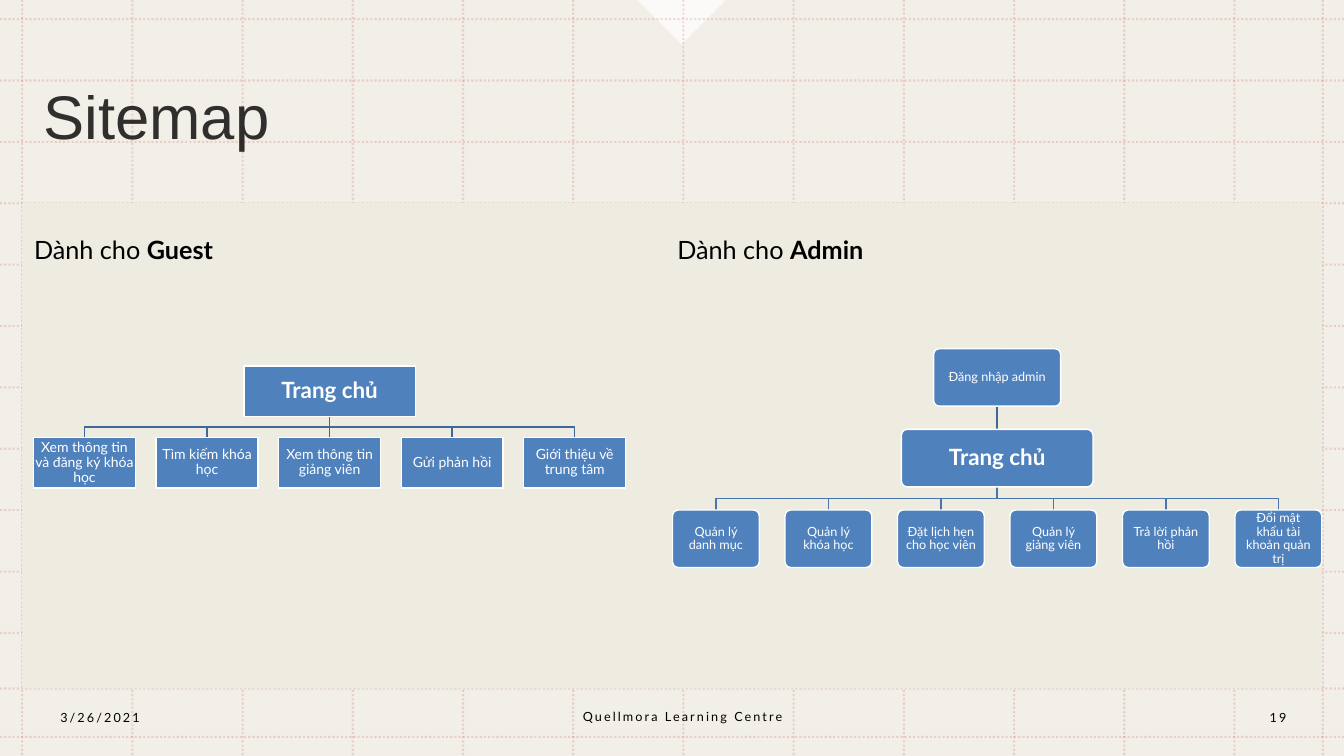
from dataclasses import dataclass
from typing import Any

import lxml.etree
import pptx
import pptx.dml.color
import pptx.enum.dml
import pptx.enum.shapes
import pptx.enum.text
import pptx.oxml.ns
import pptx.util

COLOURS = {
    "sand": "EEECE1", "white": "FFFFFF", "black": "000000", "grid": "C0504D",
    "box": "4F81BD", "guest link": "3F6797", "admin link": "4875AC",
}
SHAPE = pptx.enum.shapes.MSO_SHAPE
ALIGN = pptx.enum.text.PP_ALIGN
ANCHOR = pptx.enum.text.MSO_ANCHOR
qn = pptx.oxml.ns.qn

deck = pptx.Presentation()
deck.slide_width = pptx.util.Inches(13.33)
deck.slide_height = pptx.util.Inches(7.5)
slide = deck.slides.add_slide(deck.slide_layouts[5])


@dataclass
class Area:
    """A rectangle in percent of the slide's width and height."""
    left: float
    top: float
    width: float
    height: float

    @property
    def centre(self) -> float:
        return self.left + self.width / 2

    @property
    def bottom(self) -> float:
        return self.top + self.height

    def emu(self) -> tuple[int, int, int, int]:
        return x(self.left), y(self.top), x(self.width), y(self.height)


@dataclass
class Caption:
    area: Area
    runs: list[tuple[str, bool]]
    size: float
    align: Any = ALIGN.LEFT
    anchor: Any = ANCHOR.MIDDLE
    spacing: int = 0


@dataclass
class Tree:
    kind: Any
    link: str
    inset: float
    size: float
    home: Area
    pages: list[str]
    pages_top: float
    page_width: float
    pitch: float


def x(share: float) -> int:
    return round(deck.slide_width * share / 100)


def y(share: float) -> int:
    return round(deck.slide_height * share / 100)


def rgb(name: str) -> pptx.dml.color.RGBColor:
    return pptx.dml.color.RGBColor.from_string(COLOURS[name])


def apply(target: Any, formats: dict[str, Any]) -> None:
    for name, value in formats.items():
        setattr(target, name, value)


def set_opacity(element: Any, percent: int) -> None:
    colour = element.find(".//" + qn("a:srgbClr"))
    lxml.etree.SubElement(colour, qn("a:alpha"), val=str(percent * 1000))


def draw_line(start: tuple[float, float], end: tuple[float, float], colour: str, width: float) -> Any:
    line = slide.shapes.add_connector(
        pptx.enum.shapes.MSO_CONNECTOR.STRAIGHT, x(start[0]), y(start[1]), x(end[0]), y(end[1]))
    line.line.color.rgb = rgb(colour)
    line.line.width = pptx.util.Pt(width)
    lxml.etree.SubElement(line.element.spPr, qn("a:effectLst"))
    return line


def draw_grid_line(start: tuple[float, float], end: tuple[float, float]) -> None:
    line = draw_line(start, end, "grid", 1.5)
    line.line.dash_style = pptx.enum.dml.MSO_LINE.ROUND_DOT
    set_opacity(line.element, 20)


def draw_shape(kind: Any, area: Area, colour: str) -> Any:
    shape = slide.shapes.add_shape(kind, *area.emu())
    shape.shadow.inherit = False
    shape.fill.solid()
    shape.fill.fore_color.rgb = rgb(colour)
    shape.line.fill.background()
    return shape


def write(frame: Any, runs: list[tuple[str, bool]], size: float, colour: str, align: Any,
          anchor: Any, spacing: int = 0, font: str = "Lato") -> None:
    apply(frame, {"word_wrap": True, "vertical_anchor": anchor})
    paragraph = frame.paragraphs[0]
    paragraph.alignment = align
    for text, bold in runs:
        run = paragraph.add_run()
        run.text = text
        apply(run.font, {"name": font, "size": pptx.util.Pt(size), "bold": bold})
        run.font.color.rgb = rgb(colour)
        if spacing:
            run._r.get_or_add_rPr().set("spc", str(spacing))


def draw_box(tree: Tree, area: Area, label: str, size: float, bold: bool = False) -> None:
    box = draw_shape(tree.kind, area, "box")
    box.line.color.rgb = rgb("white")
    box.line.width = pptx.util.Pt(1)
    if tree.kind == SHAPE.ROUNDED_RECTANGLE:
        box.adjustments[0] = 0.1
    sides = ("margin_left", "margin_right", "margin_top", "margin_bottom")
    apply(box.text_frame, dict.fromkeys(sides, x(tree.inset)))
    write(box.text_frame, [(label, bold)], size, "white", ALIGN.CENTER, ANCHOR.MIDDLE)
    box.text_frame.paragraphs[0].line_spacing = 0.9


def draw_link(parent: Area, child: Area, colour: str) -> None:
    start, end = (parent.centre, parent.bottom), (child.centre, child.top)
    if abs(start[0] - end[0]) < 0.01:
        draw_line(start, end, colour, 1)
        return
    middle = (start[1] + end[1]) / 2
    builder = slide.shapes.build_freeform(x(start[0]), y(start[1]))
    corners = [(start[0], middle), (end[0], middle), end]
    builder.add_line_segments([(x(a), y(b)) for a, b in corners], close=False)
    elbow = builder.convert_to_shape()
    elbow.shadow.inherit = False
    elbow.fill.background()
    elbow.line.color.rgb = rgb(colour)
    elbow.line.width = pptx.util.Pt(1)


def draw_tree(tree: Tree) -> None:
    first = tree.home.centre - tree.pitch * (len(tree.pages) - 1) / 2 - tree.page_width / 2
    areas = [Area(first + i * tree.pitch, tree.pages_top, tree.page_width, tree.home.height)
             for i in range(len(tree.pages))]
    for area in areas:
        draw_link(tree.home, area, tree.link)
    draw_box(tree, tree.home, "Trang chủ", 16, bold=True)
    for area, label in zip(areas, tree.pages):
        draw_box(tree, area, label, tree.size)


# Backdrop: wash, corner marker, dotted grid, content panel
set_opacity(draw_shape(SHAPE.RECTANGLE, Area(0, 0, 100, 100), "sand").element, 80)
marker = draw_shape(SHAPE.RIGHT_TRIANGLE, Area(48.39, -4.13, 4.65, 8.27), "white")
marker.rotation = 315
set_opacity(marker.element, 75)
for column in [1.65 + 8.2 * i for i in range(12)] + [98.42]:
    draw_grid_line((column, 0), (column, 100))
for row in [2.53 + 8.12 * i for i in range(11)] + [91.07, 97.47]:
    draw_grid_line((0, row), (100, row))
draw_shape(SHAPE.RECTANGLE, Area(1.65, 26.8, 96.7, 64.27), "sand")

# Title, brought in front of the backdrop
sitemap = slide.shapes.title
sitemap.element.getparent().append(sitemap.element)
apply(sitemap, dict(zip(("left", "top", "width", "height"), Area(2.48, 4.93, 94.37, 21.87).emu())))
write(sitemap.text_frame, [("Sitemap", False)], 44, "black", ALIGN.LEFT, ANCHOR.MIDDLE, font="Arial")
sitemap.text_frame.paragraphs[0].line_spacing = 0.9
set_opacity(sitemap.element, 80)

# Site trees
guest = Tree(
    SHAPE.RECTANGLE, "guest link", 0.07, 10, Area(18.15, 48.4, 12.75, 6.67),
    ["Xem thông tin và đăng ký khóa học", "Tìm kiếm khóa học", "Xem thông tin giảng viên",
     "Gửi phản hồi", "Giới thiệu về trung tâm"], 57.87, 7.58, 9.12)
admin = Tree(
    SHAPE.ROUNDED_RECTANGLE, "admin link", 0.4, 9, Area(67.07, 56.8, 14.25, 7.6),
    ["Quản lý danh mục", "Quản lý khóa học", "Đặt lịch hẹn cho học viên",
     "Quản lý giảng viên", "Trả lời phản hồi", "Đổi mật khẩu tài khoản quản trị"], 67.47, 6.45, 8.37)
login = Area(69.47, 46.13, 9.45, 7.6)
draw_tree(guest)
draw_link(login, admin.home, "guest link")
draw_box(admin, login, "Đăng nhập admin", admin.size)
draw_tree(admin)

# Section headings and footer
for caption in [
    Caption(Area(1.8, 30.4, 44.34, 5.33), [("Dành cho ", False), ("Guest", True)], 18, anchor=ANCHOR.TOP),
    Caption(Area(49.66, 30.4, 44.34, 5.33), [("Dành cho ", False), ("Admin", True)], 18, anchor=ANCHOR.TOP),
    Caption(Area(3.75, 92.27, 21, 5.33), [("3/26/2021", False)], 9, spacing=150),
    Caption(Area(34.43, 92.13, 32.71, 5.33), [("Quellmora Learning Centre", False)], 9, ALIGN.CENTER, spacing=150),
    Caption(Area(91.82, 92.27, 6.53, 5.33), [("19", False)], 9, ALIGN.CENTER, spacing=150),
]:
    words = slide.shapes.add_textbox(*caption.area.emu())
    write(words.text_frame, caption.runs, caption.size, "black", caption.align, caption.anchor, caption.spacing)

deck.save("out.pptx")
